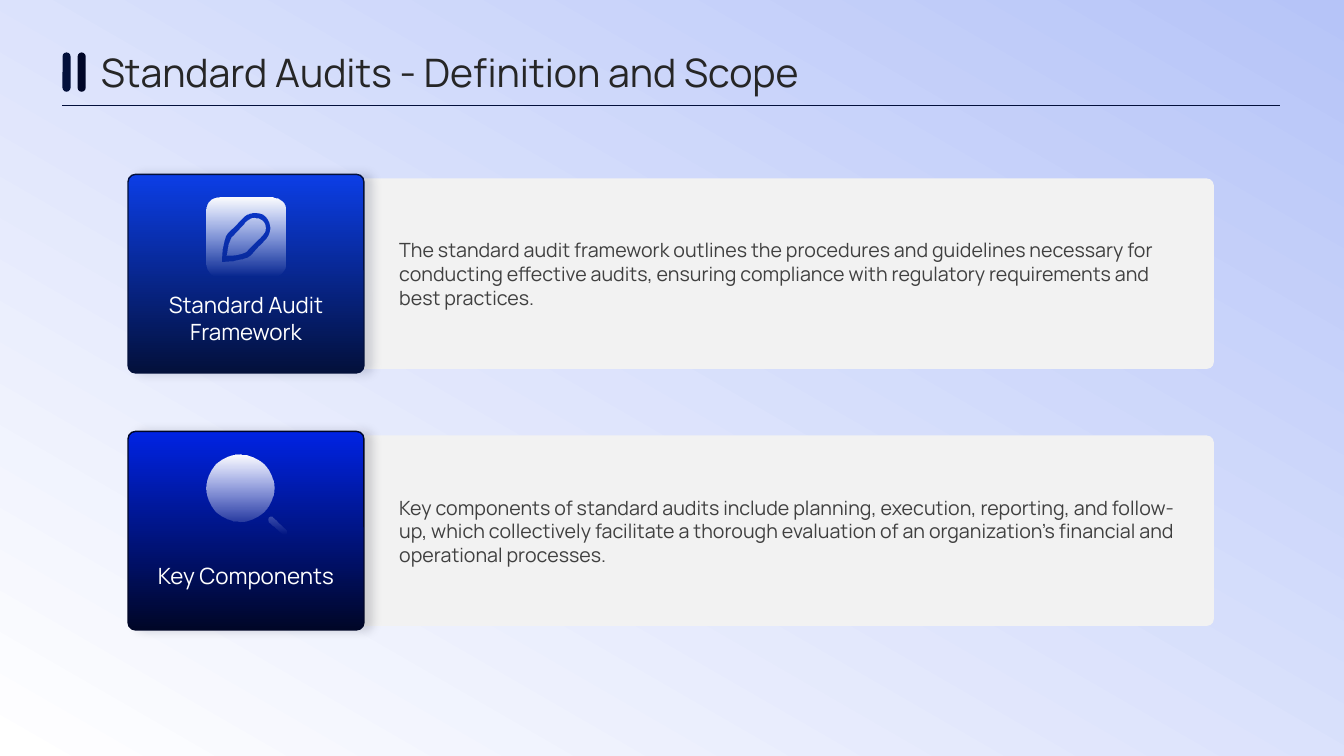
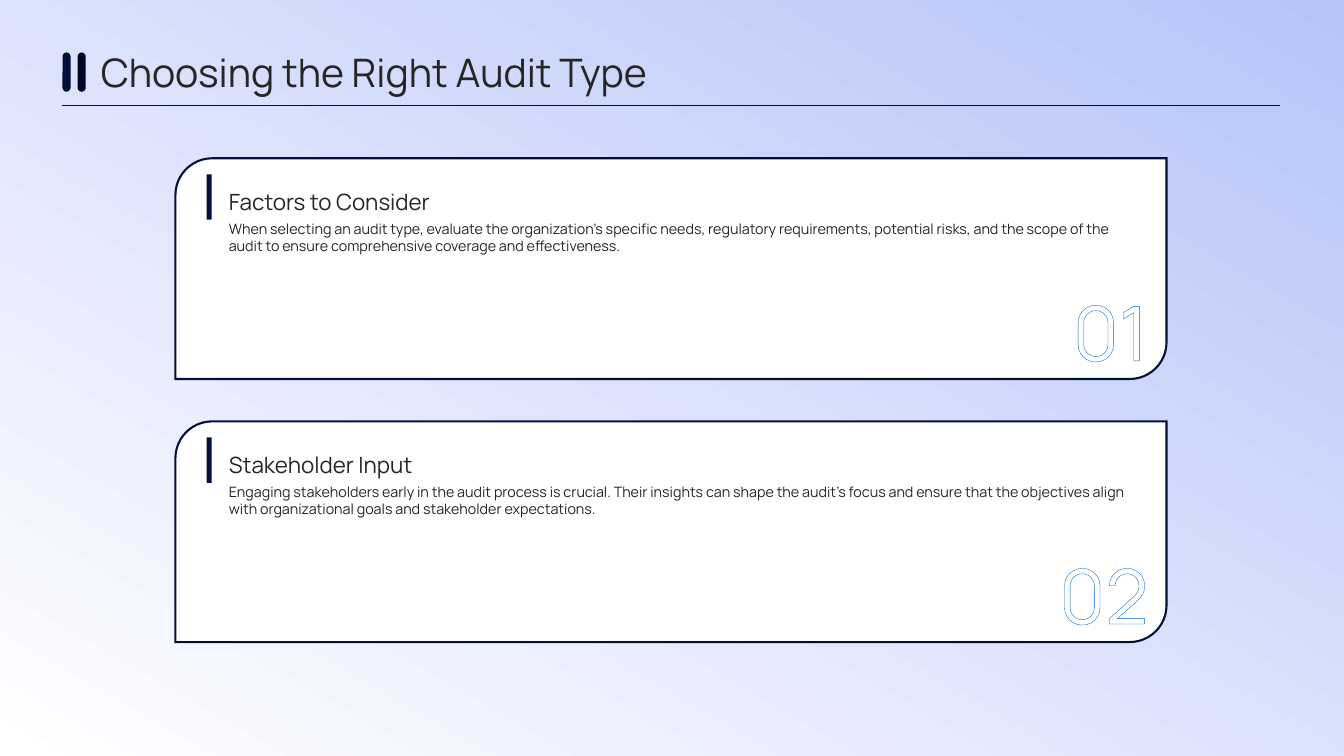
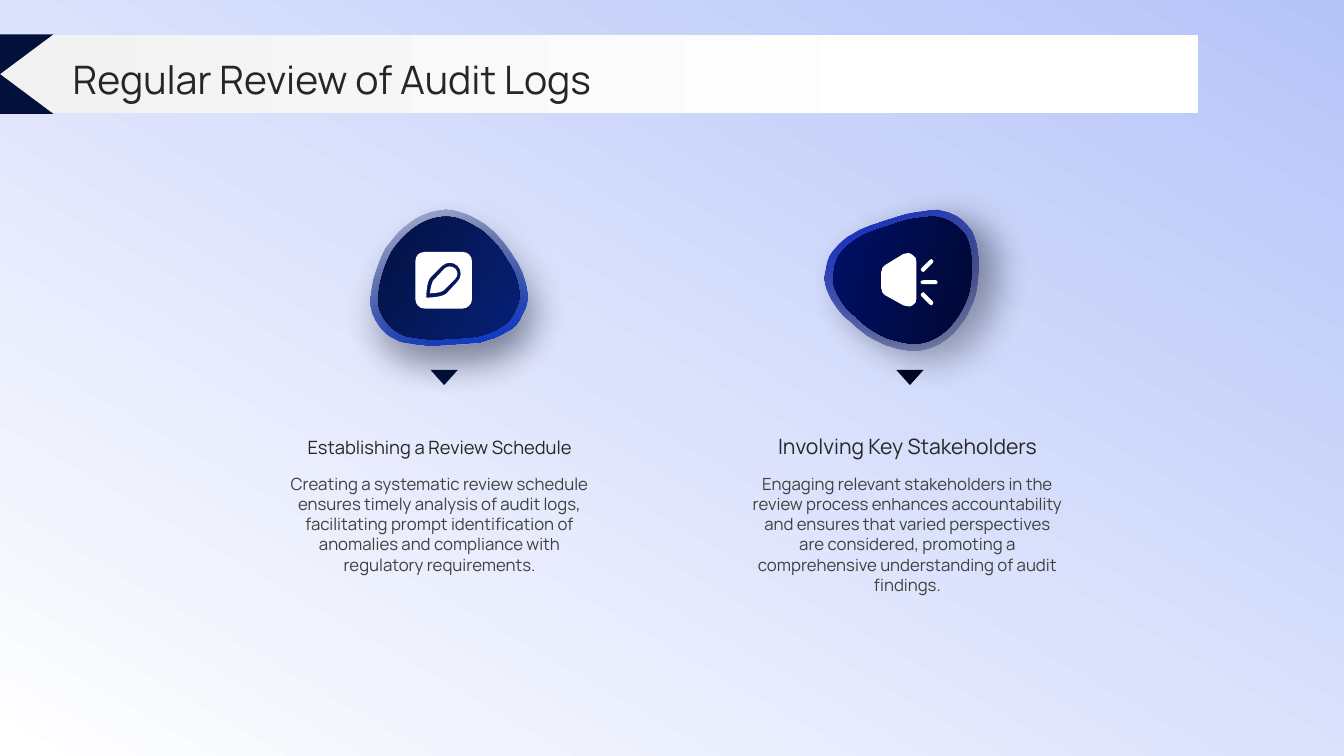
from dataclasses import dataclass

from lxml import etree
from pptx import Presentation
from pptx.dml.color import RGBColor
from pptx.enum.shapes import MSO_CONNECTOR, MSO_SHAPE
from pptx.enum.text import MSO_ANCHOR, PP_ALIGN
from pptx.oxml.ns import qn
from pptx.shapes.base import BaseShape
from pptx.slide import Slide
from pptx.util import Inches, Pt

RECTANGLE = MSO_SHAPE.RECTANGLE
ROUNDED = MSO_SHAPE.ROUNDED_RECTANGLE
DIAGONAL = MSO_SHAPE.ROUND_2_DIAG_RECTANGLE
TRIANGLE = MSO_SHAPE.ISOSCELES_TRIANGLE
COLLATE = MSO_SHAPE.FLOWCHART_COLLATE
STRAIGHT = MSO_CONNECTOR.STRAIGHT
TOP, MIDDLE, BOTTOM = MSO_ANCHOR.TOP, MSO_ANCHOR.MIDDLE, MSO_ANCHOR.BOTTOM
LEFT, CENTER, RIGHT = PP_ALIGN.LEFT, PP_ALIGN.CENTER, PP_ALIGN.RIGHT

FONT = "Manrope"
NAVY, MIDNIGHT = "03103B", "000627"
ROYAL, ULTRAMARINE = "0C3EE6", "0023E3"
WHITE, PALE = "FFFFFF", "F2F2F2"
INK, GREY = "262626", "404040"
NUMBER_BLUE = "0068BF"
WIDTH, HEIGHT = 13.33, 7.5

# Outlines in hundredths of an inch: M starts a contour, L is a line, C a cubic curve.
PEN = """
M 47 20 C 50 20 53 21 55 23 C 59 27 59 33 55 37 L 39 53 C 37 55 29 57 20 57
C 21 49 23 41 25 39 L 40 23 C 42 21 45 20 47 20
M 47 15 C 44 15 40 16 37 19 L 21 35 C 15 41 15 63 15 63 C 15 63 37 63 43 57
L 58 41 C 64 35 64 25 58 19 C 55 16 51 15 47 15
M 13 0 L 65 0 C 72 0 78 5 78 13 L 78 65 C 78 72 72 78 65 78 L 13 78
C 5 78 0 72 0 65 L 0 13 C 0 5 5 0 13 0"""
MAGNIFIER = """
M 63 61 C 64 61 65 61 65 62 L 78 74 C 79 75 79 77 78 78 C 77 79 77 79 76 79
C 75 79 74 79 74 78 L 61 66 C 60 64 60 63 61 62 C 62 61 62 61 63 61
M 33 0 C 51 0 66 15 66 33 C 66 51 51 66 33 66 C 15 66 0 51 0 33 C 0 15 15 0 33 0"""
SPEAKER = """
M 42 39 C 42 39 43 40 43 40 L 51 48 C 52 49 52 51 51 51 C 51 52 50 52 50 52
C 49 52 49 52 48 51 L 40 43 C 39 42 39 41 40 40 C 41 40 41 39 42 39
M 42 27 L 54 27 C 55 27 56 28 56 29 C 56 30 55 31 54 31 L 42 31
C 40 31 39 30 39 29 C 39 28 40 27 42 27
M 50 6 C 50 6 51 6 51 7 C 52 7 52 9 51 10 L 43 18 C 43 18 42 19 42 19
C 41 19 41 18 40 18 C 39 17 39 16 40 15 L 48 7 C 49 6 49 6 50 6
M 27 0 C 28 0 30 1 31 2 C 34 3 35 6 35 9 L 35 45 C 35 48 34 51 31 52
C 30 53 28 53 27 53 C 25 53 24 53 22 52 L 4 42 C 2 41 0 38 0 35 L 0 19
C 0 16 2 13 4 12 L 22 1 C 24 1 25 0 27 0"""
PEBBLE = """
M 150 66 C 147 52 140 38 131 26 C 125 20 119 13 111 8 C 102 2 93 0 83 0
C 61 0 40 14 30 23 C 17 36 0 63 0 82 C 3 102 11 110 20 117 C 30 122 45 128 50 129
C 54 130 81 136 96 138 C 105 138 114 138 123 135 C 128 134 132 132 135 130
C 139 127 142 124 145 120 C 150 115 153 109 154 102 C 155 94 155 87 154 80
C 153 75 152 70 150 66"""


@dataclass
class Stop:
    position: float
    color: str
    opacity: int = 100


@dataclass
class Gradient:
    """Two stops along a clockwise angle in degrees."""
    angle: int
    start: Stop
    end: Stop


@dataclass
class Shadow:
    """Opacity in percent, blur and distance in points, direction in degrees."""
    color: str
    opacity: int
    blur: float
    distance: float
    direction: int


@dataclass
class Style:
    size: float
    color: str = INK
    align: PP_ALIGN = LEFT
    anchor: MSO_ANCHOR = TOP
    outline: str = ""
    margins: tuple[float, float] = (0, 0)


@dataclass
class Tile:
    label: str
    body: str
    dark: str
    bright: str
    shadow: str
    icon: str


@dataclass
class Card:
    heading: str
    body: str


@dataclass
class Badge:
    heading: str
    heading_size: float
    body: str
    center: float
    text_left: float
    rotation: int
    dark: str
    bright: str
    inner: str
    shadow: Shadow
    icon: str
    icon_top: float
    icon_scale: float


TITLE = Style(28, anchor=MIDDLE)
TILE_LABEL = Style(16, WHITE, CENTER, MIDDLE)
TILE_BODY = Style(14, GREY, anchor=MIDDLE)
CARD_HEADING = Style(16, anchor=BOTTOM)
CARD_BODY = Style(10.2)
CARD_NUMBER = Style(54, WHITE, RIGHT, outline=NUMBER_BLUE)
BADGE_MARGINS = (0.07, 0.04)
BADGE_BODY = Style(12, GREY, CENTER, margins=BADGE_MARGINS)

TILES = [
    Tile("Standard Audit Framework",
         "The standard audit framework outlines the procedures and guidelines necessary for "
         "conducting effective audits, ensuring compliance with regulatory requirements and "
         "best practices.", NAVY, ROYAL, "040E32", PEN),
    Tile("Key Components",
         "Key components of standard audits include planning, execution, reporting, and "
         "follow-up, which collectively facilitate a thorough evaluation of an organization’s "
         "financial and operational processes.", MIDNIGHT, ULTRAMARINE, "000314", MAGNIFIER),
]
CARDS = [
    Card("Factors to Consider",
         "When selecting an audit type, evaluate the organization's specific needs, regulatory "
         "requirements, potential risks, and the scope of the audit to ensure comprehensive "
         "coverage and effectiveness."),
    Card("Stakeholder Input",
         "Engaging stakeholders early in the audit process is crucial. Their insights can shape "
         "the audit's focus and ensure that the objectives align with organizational goals and "
         "stakeholder expectations."),
]
BADGES = [
    Badge("Establishing a Review Schedule", 13.1,
          "Creating a systematic review schedule ensures timely analysis of audit logs, "
          "facilitating prompt identification of anomalies and compliance with regulatory "
          "requirements.", 4.4, 2.75, 345, NAVY, ROYAL, "06217B",
          Shadow("02081E", 60, 26, 13, 70), PEN, 2.5, 0.72),
    Badge("Involving Key Stakeholders", 15.1,
          "Engaging relevant stakeholders in the review process enhances accountability and "
          "ensures that varied perspectives are considered, promoting a comprehensive "
          "understanding of audit findings.", 9.02, 7.39, 150, MIDNIGHT, ULTRAMARINE, "00116E",
          Shadow("000314", 65, 26, 16, 30), SPEAKER, 2.51, 1),
]


def rgb(color: str) -> RGBColor:
    return RGBColor.from_string(color)


def add_color(parent: etree.Element, color: str, opacity: int = 100) -> None:
    node = etree.SubElement(parent, qn("a:srgbClr"), val=color)
    if opacity < 100:
        etree.SubElement(node, qn("a:alpha"), val=str(opacity * 1000))


def paint(shape: BaseShape, fill: str | Gradient, line: str = "", line_width: float = 1,
          shadow: Shadow | None = None) -> None:
    shape.shadow.inherit = False
    if isinstance(fill, Gradient):
        shape.fill.gradient()
        shape.fill.gradient_angle = (360 - fill.angle) % 360
        nodes = shape._element.spPr.iter(qn("a:gs"))
        for node, stop in zip(nodes, (fill.start, fill.end)):
            node.set("pos", str(round(stop.position * 1000)))
            for old_color in list(node):
                node.remove(old_color)
            add_color(node, stop.color, stop.opacity)
    else:
        shape.fill.solid()
        shape.fill.fore_color.rgb = rgb(fill)
    if line:
        shape.line.color.rgb = rgb(line)
        shape.line.width = Pt(line_width)
        etree.SubElement(shape._element.spPr.find(qn("a:ln")), qn("a:miter"), lim="800000")
    else:
        shape.line.fill.background()
    if shadow:
        effects = shape._element.spPr.find(qn("a:effectLst"))
        node = etree.SubElement(
            effects, qn("a:outerShdw"), blurRad=str(Pt(shadow.blur)),
            dist=str(Pt(shadow.distance)), dir=str(shadow.direction * 60000),
            algn="ctr", rotWithShape="0")
        add_color(node, shadow.color, shadow.opacity)


def add_preset(page: Slide, kind: MSO_SHAPE, left: float, top: float, width: float,
               height: float, fill: str | Gradient, corner: float | None = None,
               **paint_options) -> BaseShape:
    shape = page.shapes.add_shape(kind, Inches(left), Inches(top), Inches(width), Inches(height))
    if corner is not None:
        shape.adjustments[0] = corner
    paint(shape, fill, **paint_options)
    return shape


def contour_points(contour: str) -> list[tuple[float, float]]:
    numbers = [float(word) / 100 for word in contour.split() if not word.isalpha()]
    return list(zip(numbers[::2], numbers[1::2]))


def bend_lines(shape: BaseShape, outline: str) -> None:
    """Join three line ends into one cubic curve wherever the outline says C."""
    lines = iter(list(shape._element.spPr.iter(qn("a:lnTo"))))
    for command in filter(str.isalpha, outline.split()):
        if command == "L":
            next(lines)
        elif command == "C":
            ends = [next(lines) for _ in range(3)]
            curve = etree.Element(qn("a:cubicBezTo"))
            ends[0].addprevious(curve)
            for end in ends:
                curve.append(end[0])
                end.getparent().remove(end)


def add_outline(page: Slide, outline: str, left: float, top: float, fill: str | Gradient,
                scale: float = 1, rotation: int = 0, shadow: Shadow | None = None) -> None:
    first, *others = [
        [(Inches(left + x * scale), Inches(top + y * scale)) for x, y in contour_points(contour)]
        for contour in outline.split("M")[1:]]
    builder = page.shapes.build_freeform(*first[0])
    builder.add_line_segments(first[1:], close=True)
    for contour in others:
        builder.move_to(*contour[0])
        builder.add_line_segments(contour[1:], close=True)
    shape = builder.convert_to_shape()
    bend_lines(shape, outline)
    shape.rotation = rotation
    paint(shape, fill, shadow=shadow)


def add_text(page: Slide, text: str, left: float, top: float, width: float, height: float,
             style: Style) -> None:
    box = page.shapes.add_textbox(Inches(left), Inches(top), Inches(width), Inches(height))
    frame = box.text_frame
    frame.word_wrap = True
    frame.vertical_anchor = style.anchor
    side, end = style.margins
    frame.margin_left = frame.margin_right = Inches(side)
    frame.margin_top = frame.margin_bottom = Inches(end)
    para = frame.paragraphs[0]
    para.alignment = style.align
    span = para.add_run()
    span.text = text
    span.font.name = FONT
    span.font.size = Pt(style.size)
    span.font.color.rgb = rgb(style.color)
    if style.outline:
        line = etree.Element(qn("a:ln"), w=str(Pt(1)))
        add_color(etree.SubElement(line, qn("a:solidFill")), style.outline)
        span.font._element.insert(0, line)


def add_page(deck: Presentation) -> Slide:
    """Add a blank page with the shared blue wash."""
    page = deck.slides.add_slide(deck.slide_layouts[6])
    wash = Gradient(120, Stop(0, "B6C4F8"), Stop(100, WHITE))
    add_preset(page, RECTANGLE, 0, 0, WIDTH, HEIGHT, wash)
    return page


def add_ruled_title(page: Slide, title: str) -> None:
    add_text(page, title, 1, 0.46, 10.97, 0.51, TITLE)
    for left, color in ((0.62, NAVY), (0.77, MIDNIGHT)):
        add_preset(page, ROUNDED, left, 0.52, 0.08, 0.39, color, corner=0.5)
    rule = page.shapes.add_connector(STRAIGHT, Inches(0.62), Inches(1.05),
                                     Inches(12.7), Inches(1.05))
    rule.line.color.rgb = rgb(NAVY)
    rule.line.width = Pt(0.5)
    etree.SubElement(rule._element.spPr, qn("a:effectLst"))


def add_banner_title(page: Slide, title: str) -> None:
    sheen = Gradient(0, Stop(0, PALE), Stop(80, WHITE))
    add_preset(page, RECTANGLE, 0, 0.35, 11.88, 0.77, sheen)
    add_preset(page, COLLATE, -0.53, 0.34, 1.06, 0.79, NAVY)
    add_text(page, title, 0.72, 0.53, 11.88, 0.51, TITLE)


def add_tile(page: Slide, tile: Tile, top: float) -> None:
    add_preset(page, ROUNDED, 1.27, top + 0.04, 10.77, 1.89, PALE, corner=0.038)
    face = Gradient(270, Stop(0, tile.dark), Stop(100, tile.bright))
    add_preset(page, ROUNDED, 1.27, top, 2.34, 1.97, face, corner=0.038, line=tile.dark,
               shadow=Shadow(tile.shadow, 14, 7, 6, 0))
    fade = Gradient(270, Stop(0, WHITE, 0), Stop(100, WHITE))
    add_outline(page, tile.icon, 2.05, top + 0.23, fade)
    add_text(page, tile.label, 1.41, top + 1, 2.06, 0.85, TILE_LABEL)
    add_text(page, tile.body, 3.96, top + 0.14, 7.7, 1.69, TILE_BODY)


def add_card(page: Slide, card: Card, number: int, top: float) -> None:
    add_preset(page, DIAGONAL, 1.74, top, 9.83, 2.19, WHITE, line=NAVY, line_width=1.5)
    add_text(page, card.body, 2.27, top + 0.61, 9.07, 0.81, CARD_BODY)
    add_text(page, f"{number:02}", 10.12, top + 1.26, 1.27, 0.81, CARD_NUMBER)
    add_preset(page, RECTANGLE, 2.05, top + 0.16, 0.05, 0.45, NAVY)
    add_text(page, card.heading, 2.27, top + 0.15, 9.07, 0.41, CARD_HEADING)


def add_badge(page: Slide, badge: Badge) -> None:
    pointer = add_preset(page, TRIANGLE, badge.center - 0.13, 3.67, 0.27, 0.15, badge.dark)
    pointer.rotation = 180
    heading = Style(badge.heading_size, INK, CENTER, BOTTOM, margins=BADGE_MARGINS)
    add_text(page, badge.heading, badge.text_left, 3.97, 3.22, 0.62, heading)
    add_text(page, badge.body, badge.text_left, 4.66, 3.22, 2.03, BADGE_BODY)
    rim = Gradient(90, Stop(0, badge.dark, 20), Stop(100, badge.bright))
    add_outline(page, PEBBLE, badge.center - 0.77, 2.09, rim, rotation=badge.rotation,
                shadow=badge.shadow)
    core = Gradient(45, Stop(0, badge.dark), Stop(100, badge.inner))
    add_outline(page, PEBBLE, badge.center - 0.69, 2.16, core, 0.9, badge.rotation)
    add_outline(page, badge.icon, badge.center - 0.28, badge.icon_top, WHITE, badge.icon_scale)


def main() -> None:
    deck = Presentation()
    deck.slide_width, deck.slide_height = Inches(WIDTH), Inches(HEIGHT)

    page = add_page(deck)
    for index, tile in enumerate(TILES):
        add_tile(page, tile, 1.73 + 2.55 * index)
    add_ruled_title(page, "Standard Audits - Definition and Scope")

    page = add_page(deck)
    for index, card in enumerate(CARDS):
        add_card(page, card, index + 1, 1.57 + 2.61 * index)
    add_ruled_title(page, "Choosing the Right Audit Type")

    page = add_page(deck)
    for badge in BADGES:
        add_badge(page, badge)
    add_banner_title(page, "Regular Review of Audit Logs")

    deck.save("out.pptx")


if __name__ == "__main__":
    main()
